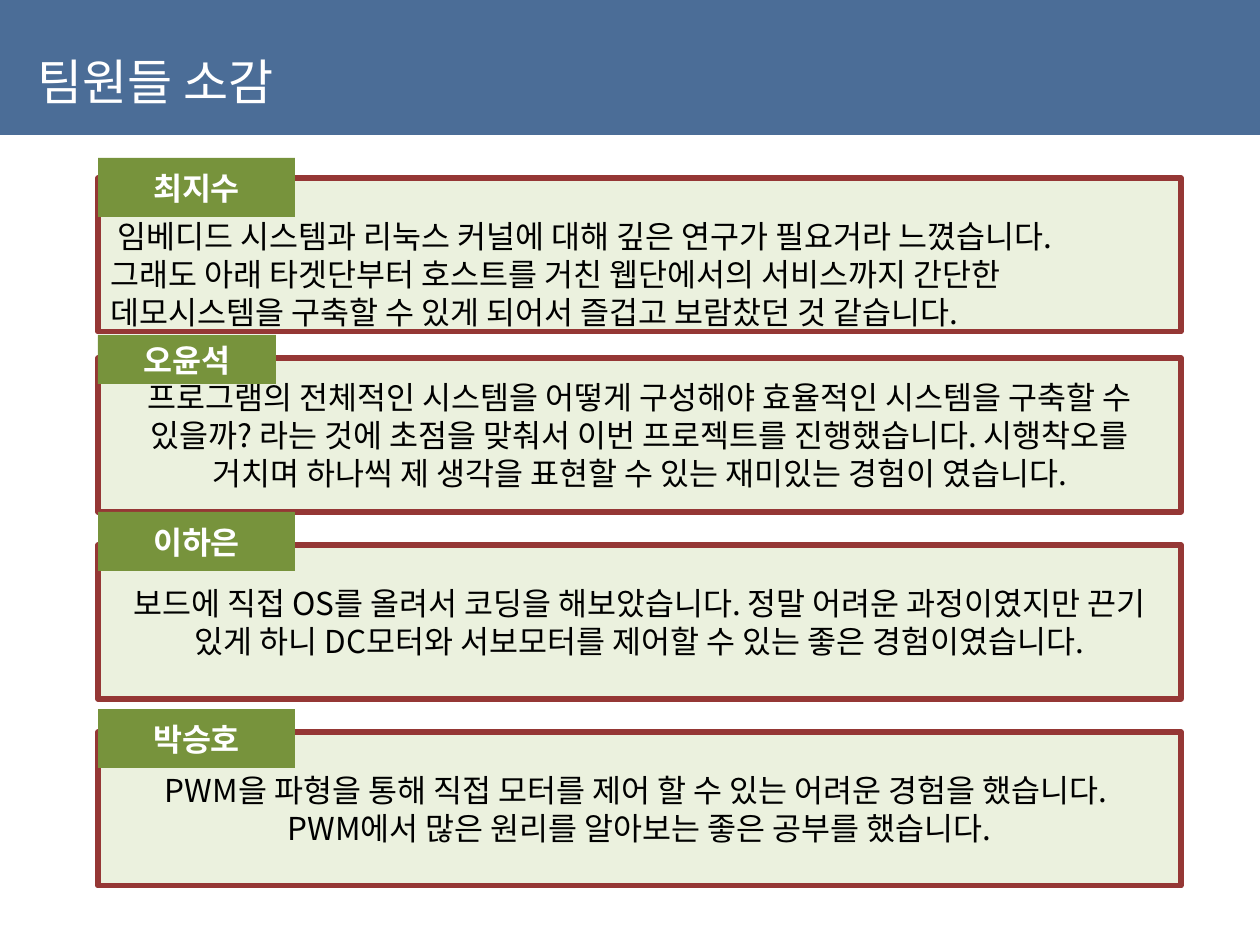
import pptx
import pptx.util
import pptx.dml.color
import pptx.enum.shapes
import pptx.enum.text
import pptx.oxml
import pptx.oxml.ns

EMU_PER_PX = 914400 / 126
FONT = "Noto Sans CJK KR"
COLORS = {
    "band": "1F497D",
    "panel": "EBF1DE",
    "border": "953735",
    "tag": "77933C",
    "light": "FFFFFF",
    "dark": "000000",
}
ALIGN = pptx.enum.text.PP_ALIGN
ANCHOR = pptx.enum.text.MSO_ANCHOR

# name, panel top, rise of the tag above the panel, tag size, remarks, options
COMMENTS = [
    ("최지수", 178, 20, (197, 59),
     ["임베디드 시스템과 리눅스 커널에 대해 깊은 연구가 필요거라 느꼈습니다.",
      "그래도 아래 타겟단부터 호스트를 거친 웹단에서의 서비스까지 간단한 "
      "데모시스템을 구축할 수 있게 되어서 즐겁고 보람찼던 것 같습니다."],
     {"align": ALIGN.LEFT, "first_indent": 7, "insets": (38, 0)}),
    ("오윤석", 358, 23, (178, 49),
     ["프로그램의 전체적인 시스템을 어떻게 구성해야 효율적인 시스템을 구축할 수 있을까? "
      "라는 것에 초점을 맞춰서 이번 프로젝트를 진행했습니다. 시행착오를 거치며 하나씩 "
      "제 생각을 표현할 수 있는 재미있는 경험이 였습니다."], {}),
    ("이하은", 545, 33, (197, 59),
     ["보드에 직접 OS를 올려서 코딩을 해보았습니다. 정말 어려운 과정이였지만 끈기 있게 "
      "하니 DC모터와 서보모터를 제어할 수 있는 좋은 경험이였습니다."], {}),
    ("박승호", 732, 23, (197, 59),
     ["PWM을 파형을 통해 직접 모터를 제어 할 수 있는 어려운 경험을 했습니다. ",
      "PWM에서 많은 원리를 알아보는 좋은 공부를 했습니다."], {}),
]


def px(length):
    return pptx.util.Emu(round(length * EMU_PER_PX))


def color(name):
    return pptx.dml.color.RGBColor.from_string(COLORS[name])


def add_box(page, left, top, width, height, fill, border=None):
    box = page.shapes.add_shape(
        pptx.enum.shapes.MSO_SHAPE.RECTANGLE,
        px(left), px(top), px(width), px(height))
    box.shadow.inherit = False
    box.fill.solid()
    box.fill.fore_color.rgb = color(fill)
    if border:
        box.line.color.rgb = color(border)
        box.line.width = pptx.util.Pt(3)
    else:
        box.line.fill.background()
    return box


def write(para, text, size, ink, align, bold=False):
    para.alignment = align
    span = para.add_run()
    span.text = text
    span.font.size = pptx.util.Pt(size)
    span.font.bold = bold
    span.font.color.rgb = color(ink)
    span.font.name = FONT
    east_asian = pptx.oxml.parse_xml(
        f'<a:ea {pptx.oxml.ns.nsdecls("a")} typeface="{FONT}"/>')
    span.font._element.find(pptx.oxml.ns.qn("a:latin")).addnext(east_asian)


def add_header(page, left, top, width, height):
    band = add_box(page, left, top, width, height, "band")
    band_color = band.fill._xPr.find(".//" + pptx.oxml.ns.qn("a:srgbClr"))
    band_color.append(pptx.oxml.parse_xml(
        f'<a:alpha {pptx.oxml.ns.nsdecls("a")} val="80000"/>'))
    title = page.shapes.title
    band._element.addnext(title._element)
    title.left, title.top = px(left + 25), px(top + 45)
    title.width, title.height = px(307), px(72)
    frame = title.text_frame
    frame.auto_size = pptx.enum.text.MSO_AUTO_SIZE.NONE
    frame.vertical_anchor = ANCHOR.MIDDLE
    write(frame.paragraphs[0], "팀원들 소감", 28, "light", ALIGN.LEFT)


def add_panel(page, left, top, width, height, remarks,
              align=ALIGN.CENTER, first_indent=0, insets=(6, 6)):
    panel = add_box(page, left, top, width, height, "panel", "border")
    frame = panel.text_frame
    frame.word_wrap = True
    frame.vertical_anchor = ANCHOR.MIDDLE
    frame.margin_top, frame.margin_bottom = map(px, insets)
    for index, remark in enumerate(remarks):
        para = frame.add_paragraph() if index else frame.paragraphs[0]
        write(para, remark, 18, "dark", align)
    if first_indent:
        frame.paragraphs[0]._p.get_or_add_pPr().set("indent", str(px(first_indent)))


def add_tag(page, left, top, width, height, name):
    tag = add_box(page, left, top, width, height, "tag")
    tag.text_frame.vertical_anchor = ANCHOR.MIDDLE
    write(tag.text_frame.paragraphs[0], name, 18, "light", ALIGN.CENTER, bold=True)


def main():
    deck = pptx.Presentation()
    deck.slide_width, deck.slide_height = px(1260), px(945)
    page = deck.slides.add_slide(deck.slide_layouts[5])
    add_header(page, 0, 0, 1260, 135)
    for name, top, rise, tag_size, remarks, options in COMMENTS:
        add_panel(page, 98, top, 1083, 154, remarks, **options)
        add_tag(page, 98, top - rise, *tag_size, name)
    deck.save("out.pptx")


if __name__ == "__main__":
    main()
